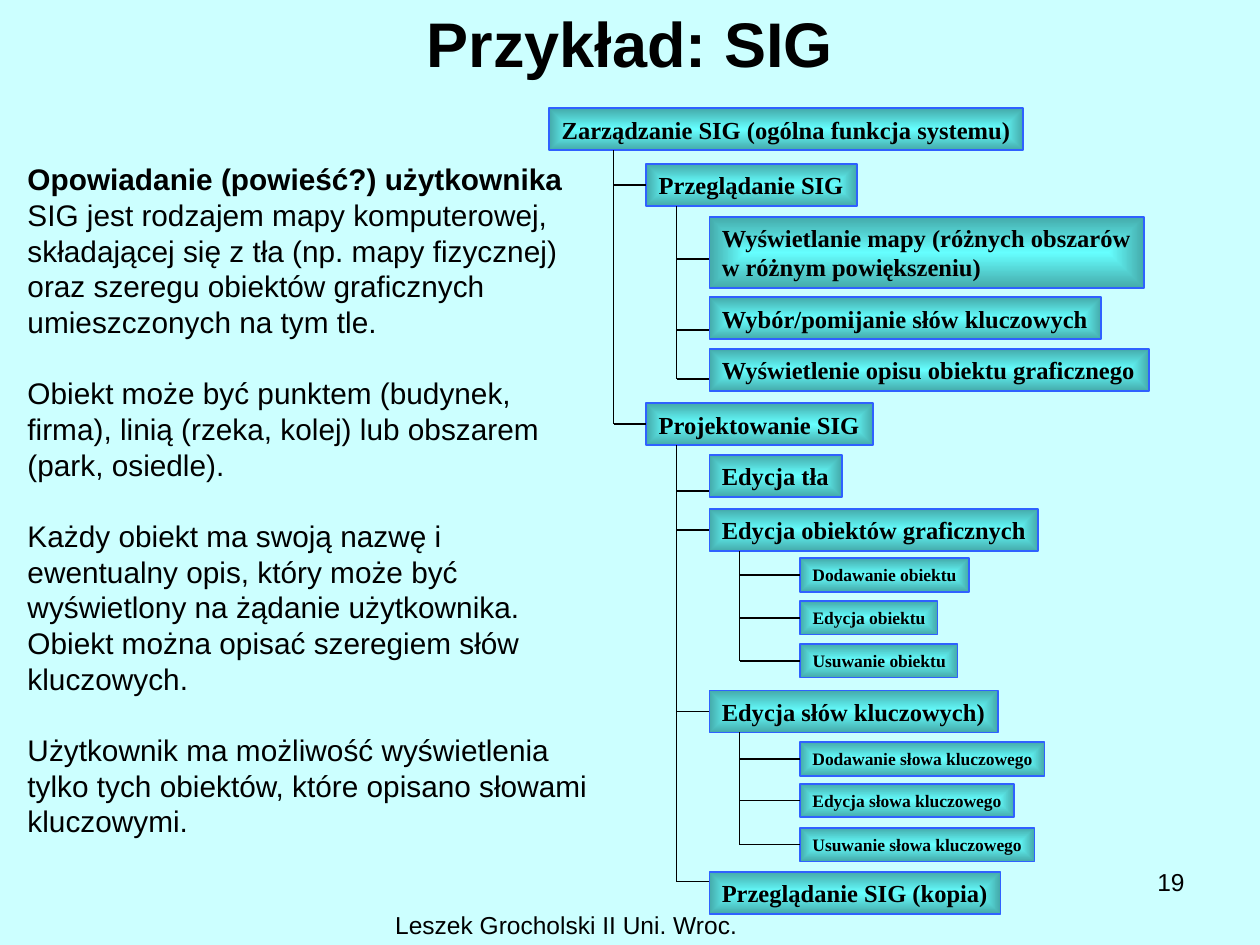
import pptx
import pptx.dml.color
import pptx.enum.shapes
import pptx.enum.text
import pptx.oxml
import pptx.oxml.ns
import pptx.util
from pptx.util import Inches

THEME = {
    "background": "CCFFFF", "ink": "000000", "border": "2F61FF",
    "center": "66FFFF", "edge": "44AAAA",
    "sans": "Arial", "serif": "Times New Roman",
    "title": 36, "body": 17, "footer": 14, "node": 14, "leaf": 10,
    "line": 1, "pitch": 1.2,
}

TITLE = "Przykład: SIG"
FOOTER = "Leszek Grocholski II Uni. Wroc."
NUMBER = "19"
STORY = [
    "Opowiadanie (powieść?) użytkownika",
    "SIG jest rodzajem mapy komputerowej, składającej się z tła (np. mapy fizycznej) "
    "oraz szeregu obiektów graficznych umieszczonych na tym tle.",
    "Obiekt może być punktem (budynek, firma), linią (rzeka, kolej) lub obszarem "
    "(park, osiedle).",
    "Każdy obiekt ma swoją nazwę i ewentualny opis, który może być wyświetlony na "
    "żądanie użytkownika. Obiekt można opisać szeregiem słów kluczowych.",
    "Użytkownik ma możliwość wyświetlenia tylko tych obiektów, które opisano słowami "
    "kluczowymi.",
]

# level, top, width, drop of the branch below the middle of the box, text
FUNCTIONS = [
    (0, 0.86, 3.76, 0, "Zarządzanie SIG (ogólna funkcja systemu)"),
    (1, 1.30, 1.67, 0, "Przeglądanie SIG"),
    (2, 1.72, 3.45, 0.05, "Wyświetlanie mapy (różnych obszarów\nw różnym powiększeniu)"),
    (2, 2.36, 3.11, 0.09, "Wybór/pomijanie słów kluczowych"),
    (2, 2.77, 3.49, 0.07, "Wyświetlenie opisu obiektu graficznego"),
    (1, 3.20, 1.80, 0, "Projektowanie SIG"),
    (2, 3.61, 1.05, 0.12, "Edycja tła"),
    (2, 4.04, 2.61, 0, "Edycja obiektów graficznych"),
    (3, 4.43, 1.34, 0, "Dodawanie obiektu"),
    (3, 4.77, 1.09, 0, "Edycja obiektu"),
    (3, 5.11, 1.25, 0, "Usuwanie obiektu"),
    (2, 5.48, 2.29, 0, "Edycja słów kluczowych)"),
    (3, 5.89, 1.94, 0, "Dodawanie słowa kluczowego"),
    (3, 6.22, 1.70, 0, "Edycja słowa kluczowego"),
    (3, 6.57, 1.86, 0, "Usuwanie słowa kluczowego"),
    (2, 6.92, 2.31, -0.09, "Przeglądanie SIG (kopia)"),
]
BOX_LEFT = [4.36, 5.13, 5.63, 6.35]
TRUNK_LEFT, TRUNK_STEP = 4.87, 0.5
INSET = 0.05

ALIGN = pptx.enum.text.PP_ALIGN
ANCHOR = pptx.enum.text.MSO_ANCHOR


def color(name):
    return pptx.dml.color.RGBColor.from_string(THEME[name])


def style(paragraph, size, font, bold=False, align=ALIGN.LEFT):
    paragraph.alignment = align
    for run in paragraph.runs:
        run.font.size = pptx.util.Pt(THEME[size])
        run.font.name = THEME[font]
        run.font.bold = bold
        run.font.color.rgb = color("ink")


def pitch(size):
    return THEME[size] * THEME["pitch"]


def add_text(slide, area, text, size, bold=False, align=ALIGN.LEFT, anchor=ANCHOR.TOP):
    frame = slide.shapes.add_textbox(*map(Inches, area)).text_frame
    frame.word_wrap = True
    frame.vertical_anchor = anchor
    frame.text = text
    for paragraph in frame.paragraphs:
        style(paragraph, size, "sans", bold, align)
    return frame


def add_story(slide):
    frame = add_text(slide, (0.12, 1.23, 4.66, 5.49), "\n".join(STORY), "body")
    heading, *body = frame.paragraphs
    style(heading, "body", "sans", bold=True)
    for paragraph in frame.paragraphs:
        paragraph.line_spacing = pptx.util.Pt(pitch("body"))
    for paragraph in body[:-1]:
        paragraph.space_after = pptx.util.Pt(pitch("body"))


def fill_from_center(shape):
    """Gradient that runs from the middle of the shape out to its four sides."""
    shape.fill.gradient()
    for stop, name in zip(shape.fill.gradient_stops, ("center", "edge")):
        stop.color.rgb = color(name)
    gradient = shape._element.spPr.find(pptx.oxml.ns.qn("a:gradFill"))
    gradient.remove(gradient.find(pptx.oxml.ns.qn("a:lin")))
    gradient.append(pptx.oxml.parse_xml(
        f'<a:path {pptx.oxml.ns.nsdecls("a")} path="rect">'
        '<a:fillToRect l="50000" t="50000" r="50000" b="50000"/></a:path>'))


def add_box(slide, level, top, width, text):
    size = "leaf" if level == 3 else "node"
    height = 2 * INSET + len(text.split("\n")) * pitch(size) / 72
    shape = slide.shapes.add_shape(
        pptx.enum.shapes.MSO_SHAPE.ROUNDED_RECTANGLE,
        *map(Inches, (BOX_LEFT[level], top, width, height)))
    shape.adjustments[0] = 0
    shape.shadow.inherit = False
    fill_from_center(shape)
    shape.line.color.rgb = color("border")
    shape.line.width = pptx.util.Pt(THEME["line"])
    frame = shape.text_frame
    frame.word_wrap = False
    frame.vertical_anchor = ANCHOR.MIDDLE
    frame.text = text
    for paragraph in frame.paragraphs:
        style(paragraph, size, "serif", bold=True)
        paragraph.line_spacing = pptx.util.Pt(pitch(size))
    return shape


def add_line(slide, *ends):
    line = slide.shapes.add_connector(pptx.enum.shapes.MSO_CONNECTOR.STRAIGHT, *ends)
    line.line.color.rgb = color("ink")
    line.line.width = pptx.util.Pt(THEME["line"])
    line._element.spPr.append(
        pptx.oxml.parse_xml(f'<a:effectLst {pptx.oxml.ns.nsdecls("a")}/>'))
    return line


def add_tree(slide):
    parents, trunks = {}, {}
    for level, top, width, drop, text in FUNCTIONS:
        box = add_box(slide, level, top, width, text)
        parents[level] = box
        if level == 0:
            continue
        trunk = Inches(TRUNK_LEFT + (level - 1) * TRUNK_STEP)
        y = box.top + box.height // 2 + Inches(drop)
        branch = add_line(slide, trunk, y, box.left, y)
        if drop == 0:
            branch.end_connect(box, 1)
        parent = parents[level - 1]
        trunks[parent.shape_id] = (trunk, parent.top + parent.height, trunk, y)
    for ends in trunks.values():
        add_line(slide, *ends)


def main():
    presentation = pptx.Presentation()
    presentation.slide_width, presentation.slide_height = Inches(10), Inches(7.5)
    slide = presentation.slides.add_slide(presentation.slide_layouts[6])
    slide.background.fill.solid()
    slide.background.fill.fore_color.rgb = color("background")
    add_text(slide, (2.91, 7.17, 3.17, 0.34), FOOTER, "footer", align=ALIGN.CENTER)
    add_text(slide, (7.17, 6.83, 2.33, 0.52), NUMBER, "footer", align=ALIGN.RIGHT)
    add_text(slide, (0.5, 0, 9, 0.67), TITLE, "title", True, ALIGN.CENTER, ANCHOR.MIDDLE)
    add_story(slide)
    add_tree(slide)
    presentation.save("out.pptx")


if __name__ == "__main__":
    main()
